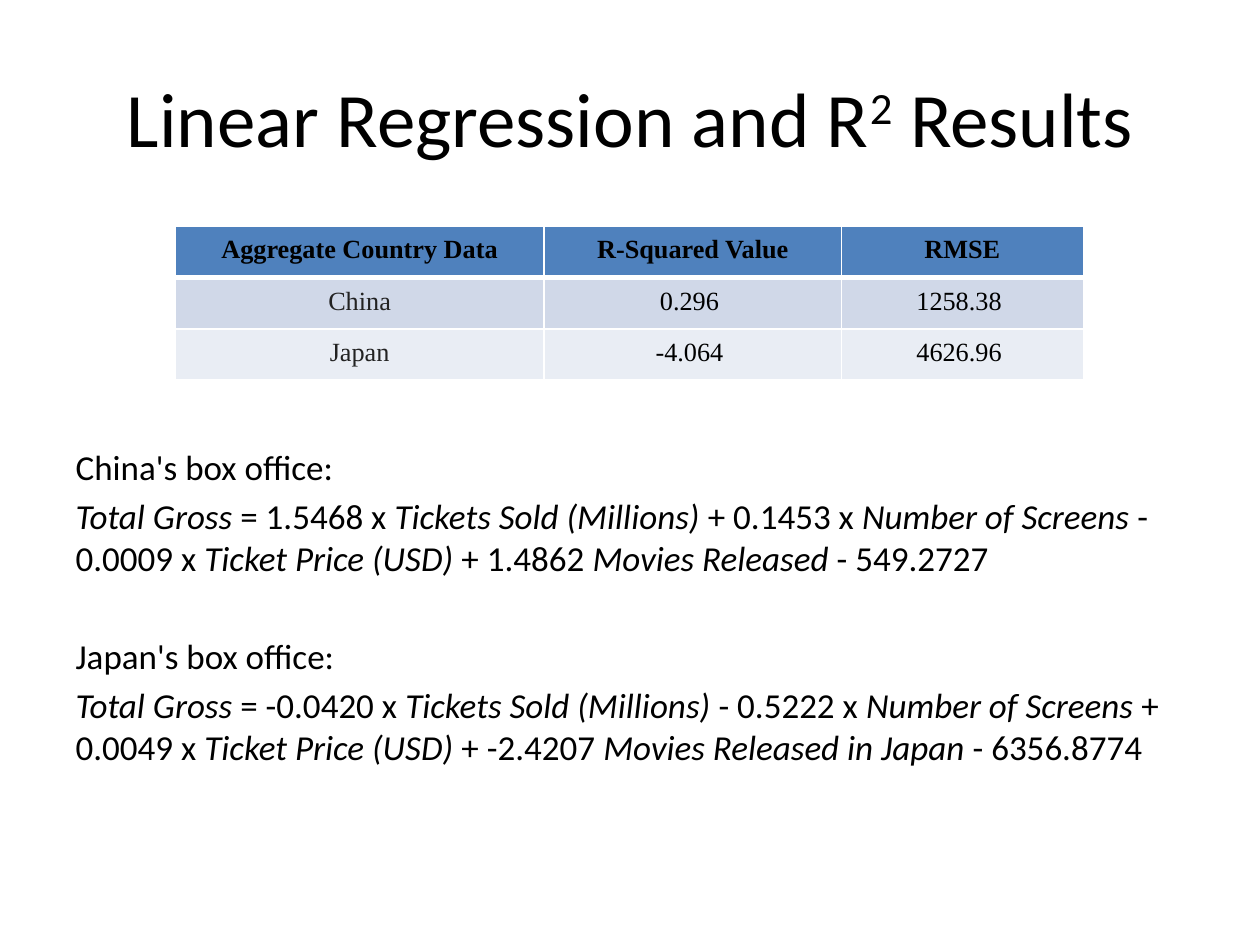
from dataclasses import dataclass

from lxml import etree
from pptx import Presentation
from pptx.dml.color import RGBColor
from pptx.enum import text as t
from pptx.oxml import ns
from pptx.util import Cm, Pt

# Runs are (text, style); style is "", "italic" or "super".
TITLE = [("Linear Regression and R", ""), ("2", "super"), (" Results", "")]
TABLE = [
    ("Aggregate Country Data", "R-Squared Value", "RMSE"),
    ("China", "0.296 ", "1258.38 "),
    ("Japan", "-4.064 ", "4626.96 "),
]
COLUMN_WIDTHS = (7.44, 5.99, 4.88)
ROW_HEIGHT = 1.03
EQUATIONS = [
    ("China's box office: ", [
        ("Total Gross", "italic"), (" = 1.5468 x ", ""),
        ("Tickets Sold (Millions)", "italic"), (" + 0.1453 x ", ""),
        ("Number of Screens", "italic"), (" - 0.0009 x ", ""),
        ("Ticket Price (USD)", "italic"), (" + 1.4862 ", ""),
        ("Movies Released", "italic"), (" - 549.2727", "")]),
    ("Japan's box office: ", [
        ("Total Gross", "italic"), (" = -0.0420 x ", ""),
        ("Tickets Sold (Millions)", "italic"), (" - 0.5222 x ", ""),
        ("Number of Screens", "italic"), (" + 0.0049 x ", ""),
        ("Ticket Price (USD)", "italic"), (" + -2.4207 ", ""),
        ("Movies Released in Japan", "italic"), (" - 6356.8774", "")]),
]


@dataclass(frozen=True)
class Theme:
    """Colours, fonts and type sizes in points."""
    ink: str = "000000"
    country: str = "222222"
    white: str = "FFFFFF"
    row_fills: tuple = ("4F81BD", "D0D8E8", "E9EDF4")
    font: str = "Calibri"
    table_font: str = "Times New Roman"
    title_size: int = 44
    table_size: int = 15
    body_size: int = 20
    paragraph_gap: int = 4
    group_gap: int = 32


THEME = Theme()


def write(paragraph, runs, size, font=THEME.font, color=THEME.ink, bold=False,
          align=t.PP_ALIGN.LEFT, before=0):
    """Write styled runs into a paragraph."""
    paragraph.alignment = align
    paragraph.space_before = Pt(before)
    for words, style in runs:
        run = paragraph.add_run()
        run.text = words
        run.font.size, run.font.name = Pt(size), font
        run.font.bold, run.font.italic = bold, style == "italic"
        run.font.color.rgb = RGBColor.from_string(color)
        if style == "super":
            run._r.get_or_add_rPr().set("baseline", "30000")


def place(shape, left, top, width, height):
    """Move and size a shape, in centimetres."""
    shape.left, shape.top = Cm(left), Cm(top)
    shape.width, shape.height = Cm(width), Cm(height)


def remove_bullet(paragraph):
    """Turn a list paragraph into flush text without a bullet."""
    properties = paragraph._p.get_or_add_pPr()
    properties.set("marL", "0")
    properties.set("indent", "0")
    etree.SubElement(properties, ns.qn("a:buNone"))


def add_borders(cell, **widths):
    """Draw white cell borders; widths are points by side L, R, T, B."""
    properties = cell._tc.get_or_add_tcPr()
    for side, width in widths.items():
        line = etree.SubElement(properties, ns.qn(f"a:ln{side}"), w=str(Pt(width)))
        fill = etree.SubElement(line, ns.qn("a:solidFill"))
        etree.SubElement(fill, ns.qn("a:srgbClr"), val=THEME.white)


def add_results(slide):
    """Add the table of regression results."""
    frame = slide.shapes.add_table(
        len(TABLE), len(COLUMN_WIDTHS), Cm(3.53), Cm(4.57),
        Cm(sum(COLUMN_WIDTHS)), Cm(ROW_HEIGHT * len(TABLE)))
    table = frame.table
    for column, width in zip(table.columns, COLUMN_WIDTHS):
        column.width = Cm(width)
    for r, values in enumerate(TABLE):
        table.rows[r].height = Cm(ROW_HEIGHT)
        for c, value in enumerate(values):
            cell = table.cell(r, c)
            cell.margin_left = cell.margin_right = Cm(0.18)
            cell.margin_top = cell.margin_bottom = Cm(0.18)
            add_borders(cell, L=1, R=1, T=3 if r == 1 else 1, B=3 if r == 0 else 1)
            cell.fill.solid()
            cell.fill.fore_color.rgb = RGBColor.from_string(THEME.row_fills[r])
            write(cell.text_frame.paragraphs[0], [(value, "")], THEME.table_size,
                  font=THEME.table_font, bold=r == 0, align=t.PP_ALIGN.CENTER,
                  color=THEME.country if r and c == 0 else THEME.ink)


def fill_equations(body):
    """Write each country's heading and regression equation."""
    frame = body.text_frame
    frame.auto_size = t.MSO_AUTO_SIZE.NONE
    for index, (heading, equation) in enumerate(EQUATIONS):
        gap = THEME.group_gap if index else THEME.paragraph_gap
        for runs, before in (([(heading, "")], gap), (equation, THEME.paragraph_gap)):
            first = not frame.paragraphs[0].runs
            paragraph = frame.paragraphs[0] if first else frame.add_paragraph()
            write(paragraph, runs, THEME.body_size, before=before)
            remove_bullet(paragraph)


def build():
    """Build and save the slide."""
    presentation = Presentation()
    presentation.slide_width, presentation.slide_height = Cm(25.4), Cm(19.05)
    slide = presentation.slides.add_slide(presentation.slide_layouts[1])
    title, body = slide.shapes.title, slide.placeholders[1]
    place(title, 1.27, 0.76, 22.86, 3.18)
    title.text_frame.vertical_anchor = t.MSO_ANCHOR.MIDDLE
    write(title.text_frame.paragraphs[0], TITLE, THEME.title_size,
          align=t.PP_ALIGN.CENTER)
    add_results(slide)
    place(body, 1.27, 8.86, 22.86, 8.15)
    fill_equations(body)
    presentation.save("out.pptx")


build()
